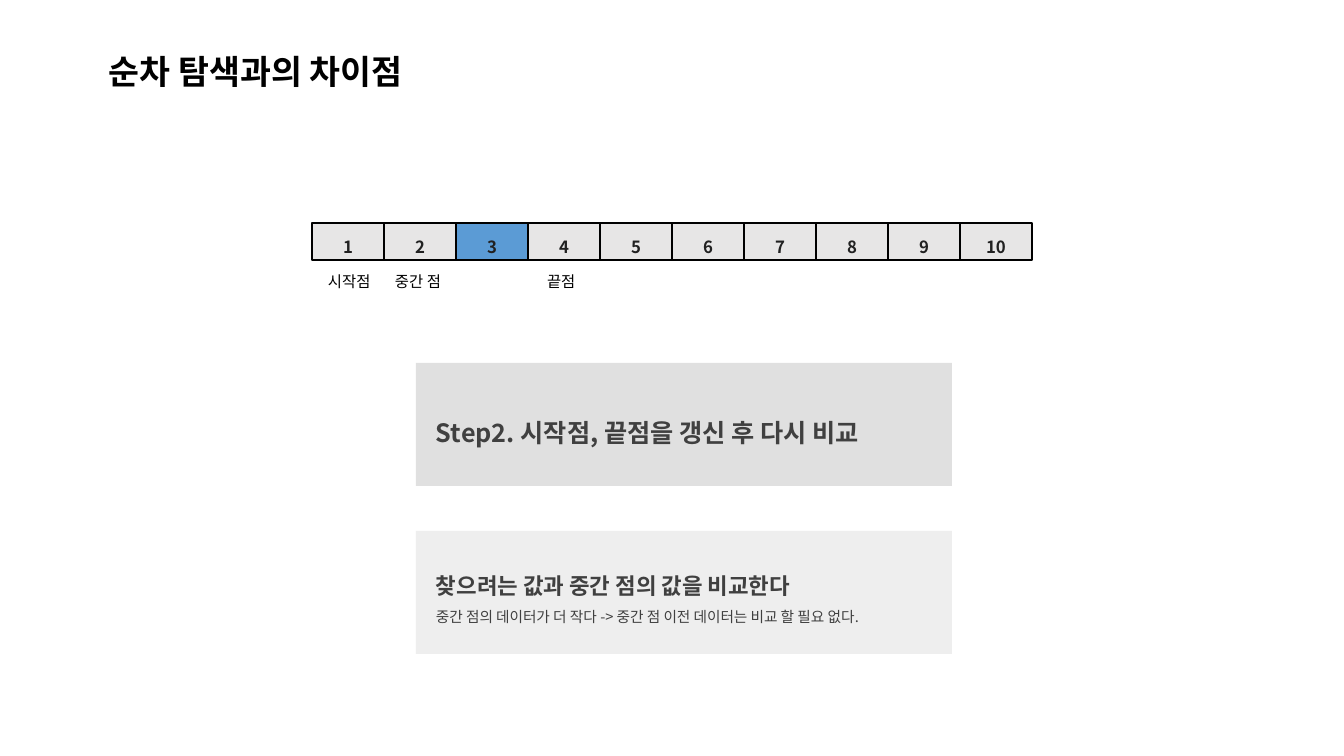
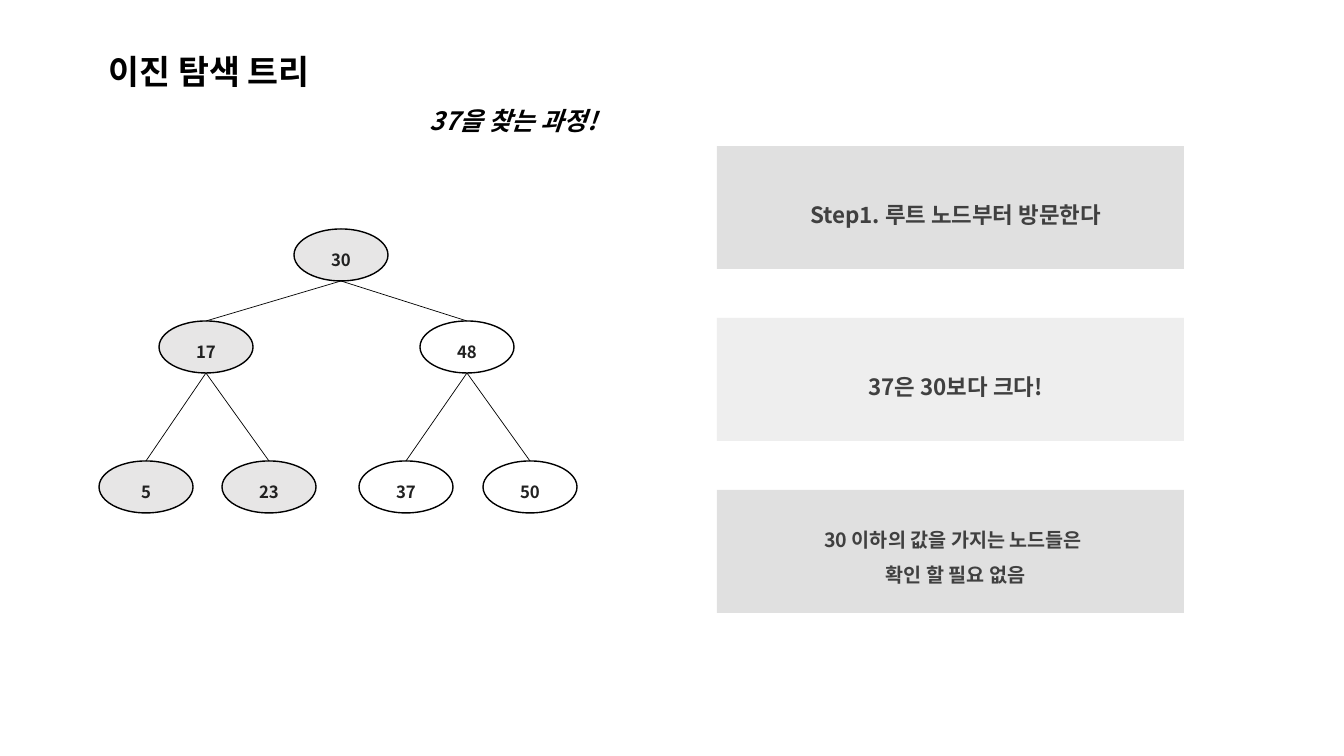
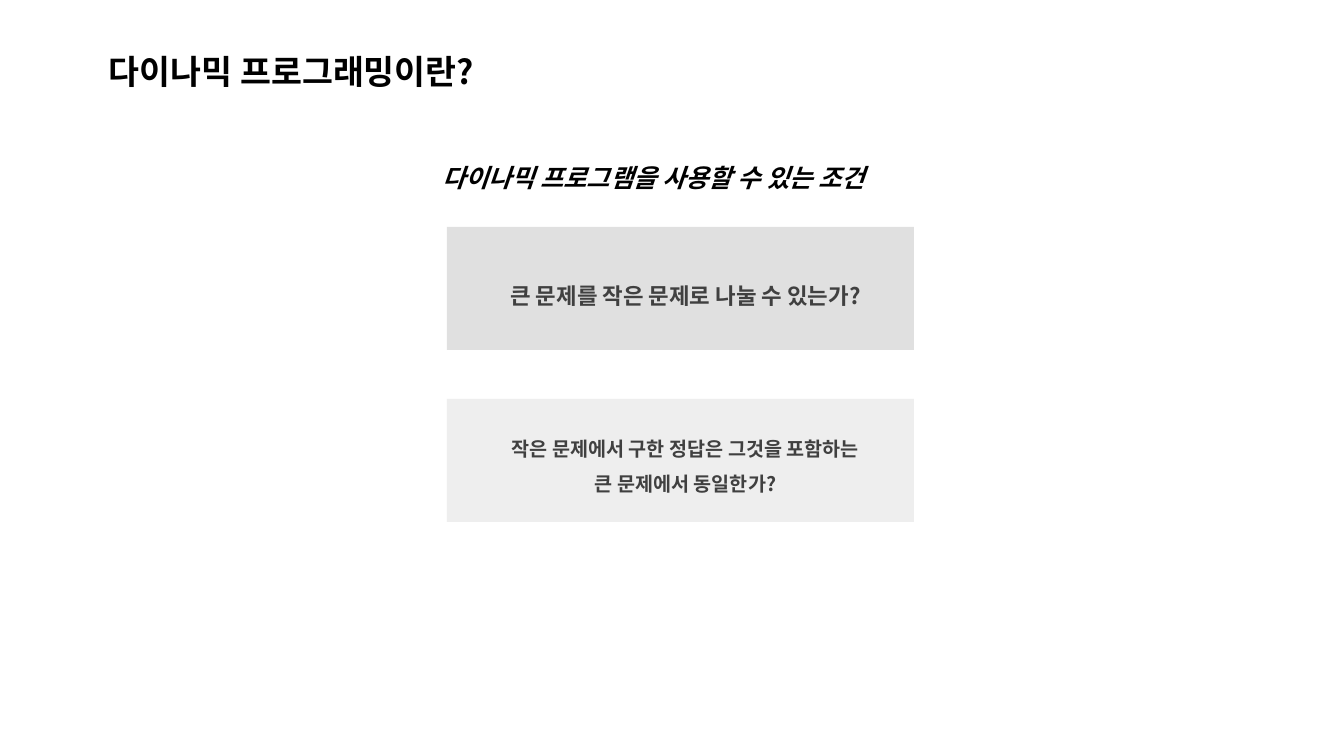
from lxml.etree import SubElement
from pptx import Presentation
from pptx.dml.color import RGBColor
from pptx.enum.shapes import MSO_CONNECTOR, MSO_SHAPE
from pptx.enum.text import MSO_ANCHOR, PP_ALIGN
from pptx.oxml.ns import qn
from pptx.util import Pt

EMU_PER_PX = 914400 / 100.8
FONT = "Noto Sans CJK KR"
BLACK, CARD_TEXT, NODE_TEXT = "000000", "404040", "212121"
CARD_FILLS = ["E0E0E0", "EEEEEE"]
GREY, BLUE, WHITE = "E7E6E6", "5B9BD5", "FFFFFF"
CARD_HEIGHT = 123
LEFT, CENTER = PP_ALIGN.LEFT, PP_ALIGN.CENTER


def px(*lengths):
    return [round(length * EMU_PER_PX) for length in lengths]


def add_block(slide, box, lines, color, fill=None, outline=None,
              kind=MSO_SHAPE.RECTANGLE, align=LEFT, spacing=1.5, left_inset=10):
    """Add a text box, or a filled shape if fill is given; a line is (text, size, styles)."""
    if fill:
        shape = slide.shapes.add_shape(kind, *px(*box))
        shape.shadow.inherit = False
        shape.fill.solid()
        shape.fill.fore_color.rgb = RGBColor.from_string(fill)
        if outline:
            shape.line.color.rgb = RGBColor.from_string(outline)
            shape.line.width = Pt(1)
        else:
            shape.line.fill.background()
    else:
        shape = slide.shapes.add_textbox(*px(*box))
    frame = shape.text_frame
    frame.word_wrap = True
    frame.vertical_anchor = MSO_ANCHOR.MIDDLE if fill else MSO_ANCHOR.TOP
    frame.margin_left = px(left_inset)[0]
    for index, (text, size, styles) in enumerate(lines):
        paragraph = frame.add_paragraph() if index else frame.paragraphs[0]
        paragraph.alignment = align
        paragraph.line_spacing = spacing
        run = paragraph.add_run()
        run.text = text
        run.font.size = Pt(size)
        run.font.bold = "b" in styles
        run.font.italic = "i" in styles
        run.font.color.rgb = RGBColor.from_string(color)
        run.font.name = FONT
        SubElement(run._r.get_or_add_rPr(), qn("a:ea"), typeface=FONT)


presentation = Presentation()
presentation.slide_width, presentation.slide_height = px(1344, 756)

# Titles, subtitles and cards: each slide's cards share left, width and pitch
slide_data = [
    {
        "title": "순차 탐색과의 차이점",
        "cards": (416, 363, 536, 168, LEFT),
        "card_lines": [
            [("Step2. 시작점, 끝점을 갱신 후 다시 비교", 18, "b")],
            [("찾으려는 값과 중간 점의 값을 비교한다", 16, "b"),
             ("중간 점의 데이터가 더 작다 -> 중간 점 이전 데이터는 비교 할 필요 없다.", 10.5, "")],
        ],
    },
    {
        "title": "이진 탐색 트리",
        "subtitle": ("37을 찾는 과정!", (420, 100, 204, 40)),
        "cards": (717, 146, 467, 172, CENTER),
        "card_lines": [
            [("Step1. 루트 노드부터 방문한다", 16, "b")],
            [("37은 30보다 크다!", 16, "b")],
            [("30 이하의 값을 가지는 노드들은 ", 14, "b"), ("확인 할 필요 없음", 14, "b")],
        ],
    },
    {
        "title": "다이나믹 프로그래밍이란?",
        "subtitle": ("다이나믹 프로그램을 사용할 수 있는 조건", (432, 157, 498, 40)),
        "cards": (447, 227, 467, 172, CENTER),
        "card_lines": [
            [("큰 문제를 작은 문제로 나눌 수 있는가?", 16, "b")],
            [("작은 문제에서 구한 정답은 그것을 포함하는", 14, "b"), ("큰 문제에서 동일한가?", 14, "b")],
        ],
    },
]
slides = []
for data in slide_data:
    slide = presentation.slides.add_slide(presentation.slide_layouts[6])
    slides.append(slide)
    add_block(slide, (99, 26, 532, 64), [(data["title"], 24, "b")], BLACK)
    if "subtitle" in data:
        text, box = data["subtitle"]
        add_block(slide, box, [(text, 18, "bi")], BLACK, spacing=1)
    left, top, width, pitch, align = data["cards"]
    for index, lines in enumerate(data["card_lines"]):
        add_block(slide, (left, top + index * pitch, width, CARD_HEIGHT), lines, CARD_TEXT,
                  fill=CARD_FILLS[index % 2], align=align, left_inset=20)

array_slide, tree_slide, _ = slides

# Array of ten cells with position labels
CELL_WIDTH = 72
for number in range(1, 11):
    add_block(array_slide, (312 + (number - 1) * CELL_WIDTH, 223, CELL_WIDTH, 37),
              [(str(number), 12, "b")], NODE_TEXT, fill=BLUE if number == 3 else GREY,
              outline=BLACK, align=CENTER)
for text, left, width in [("시작점", 318, 68), ("중간 점", 385, 74), ("끝점", 537, 54)]:
    add_block(array_slide, (left, 267, width, 29), [(text, 11, "")], BLACK, spacing=1)

# Binary search tree: value -> left, top, fill, parent
NODE_WIDTH, NODE_HEIGHT = 94, 52
tree = {
    30: (294, 229, GREY, None),
    17: (159, 321, GREY, 30),
    48: (420, 321, WHITE, 30),
    5: (99, 461, GREY, 17),
    23: (222, 461, GREY, 17),
    37: (359, 461, WHITE, 48),
    50: (483, 461, WHITE, 48),
}
for value, (left, top, fill, parent) in tree.items():
    add_block(tree_slide, (left, top, NODE_WIDTH, NODE_HEIGHT), [(str(value), 12, "b")],
              NODE_TEXT, fill=fill, outline=BLACK, kind=MSO_SHAPE.OVAL, align=CENTER)
    if parent:
        parent_left, parent_top = tree[parent][:2]
        edge = tree_slide.shapes.add_connector(
            MSO_CONNECTOR.STRAIGHT,
            *px(parent_left + NODE_WIDTH // 2, parent_top + NODE_HEIGHT,
                left + NODE_WIDTH // 2, top))
        edge.line.color.rgb = RGBColor.from_string(BLACK)
        edge.line.width = Pt(0.5)
        SubElement(edge._element.spPr, qn("a:effectLst"))

presentation.save("out.pptx")
